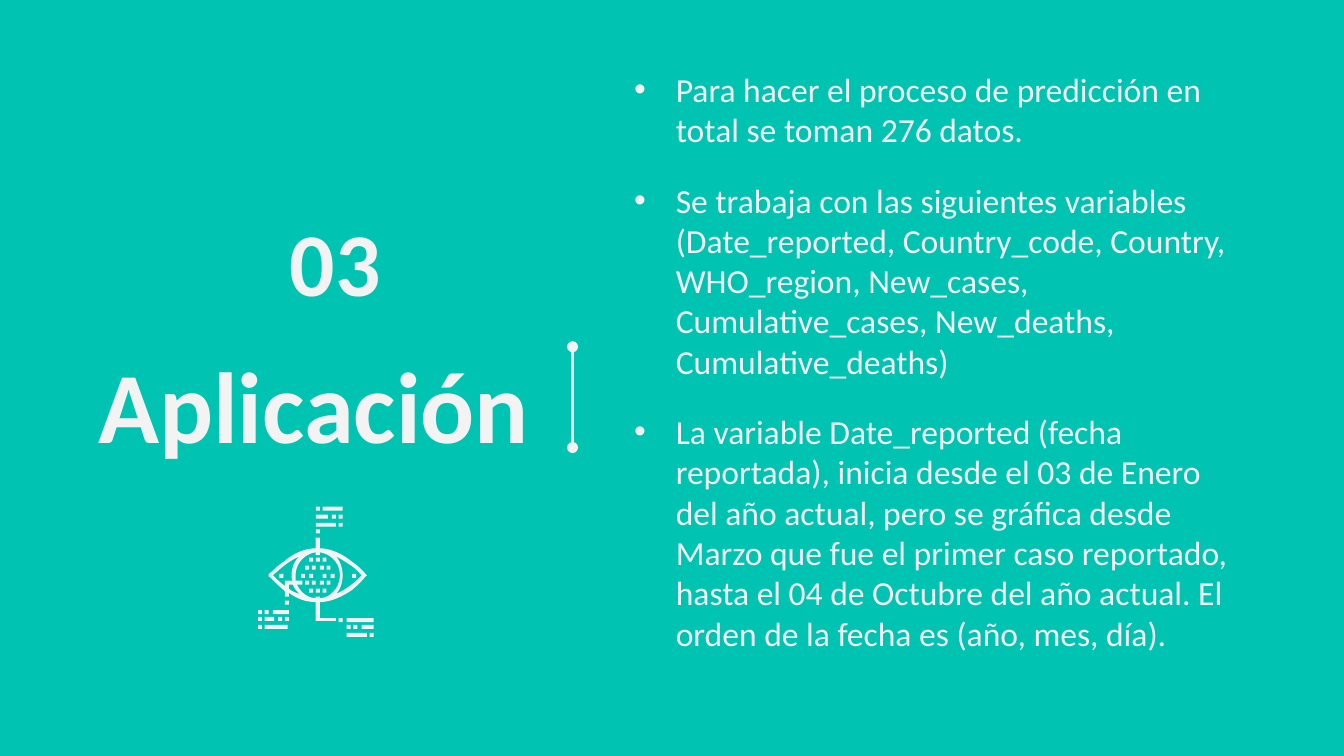
from lxml import etree
from pptx import Presentation
from pptx.dml.color import RGBColor
from pptx.enum.shapes import MSO_CONNECTOR, MSO_SHAPE
from pptx.enum.text import MSO_ANCHOR, PP_ALIGN
from pptx.oxml.ns import qn
from pptx.util import Inches, Pt

TOP, MIDDLE = MSO_ANCHOR.TOP, MSO_ANCHOR.MIDDLE
LEFT, CENTER, RIGHT = PP_ALIGN.LEFT, PP_ALIGN.CENTER, PP_ALIGN.RIGHT
RECTANGLE, STRAIGHT = MSO_SHAPE.RECTANGLE, MSO_CONNECTOR.STRAIGHT
COLORS = {"background": "00C3B1", "light": "F3F3F3"}
LIGHT = RGBColor.from_string(COLORS["light"])
FONT = "Calibri"

deck = Presentation()
deck.slide_width, deck.slide_height = Inches(10), Inches(10 * 9 / 16)
page = deck.slides.add_slide(deck.slide_layouts[6])
page.background.fill.solid()
page.background.fill.fore_color.rgb = RGBColor.from_string(COLORS["background"])

# Text: place, anchor, alignment, size, bold, bulleted, bottom inset, paragraphs
variables = (
    "Se trabaja con las siguientes variables (Date_reported, Country_code, "
    "Country, WHO_region, New_cases, Cumulative_cases, New_deaths, "
    "Cumulative_deaths)"
)
dates = (
    "La variable Date_reported (fecha reportada), inicia desde el 03 de Enero "
    "del año actual, pero se gráfica desde Marzo que fue el primer caso "
    "reportado, hasta el 04 de Octubre del año actual. El orden de la fecha "
    "es (año, mes, día)."
)
points = [
    "Para hacer el proceso de predicción en total se toman 276 datos.",
    variables,
    dates,
]
texts = [
    ((-0.08, 2.45, 4.83, 0.96), TOP, CENTER, 54, True, False, 0.1, ["Aplicación"]),
    ((4.62, 0.37, 4.65, 5.08), MIDDLE, LEFT, 18, False, True, 0.55, points),
    ((1.77, 1.57, 1.16, 0.74), MIDDLE, RIGHT, 48, True, False, 0.1, ["03"]),
]
for place, anchor, alignment, size, bold, bulleted, bottom, lines in texts:
    box = page.shapes.add_textbox(*map(Inches, place))
    frame = box.text_frame
    frame.word_wrap = True
    frame.vertical_anchor = anchor
    frame.margin_left = frame.margin_right = frame.margin_top = Inches(0.1)
    frame.margin_bottom = Inches(bottom)
    for index, line in enumerate(lines):
        para = frame.paragraphs[0] if index == 0 else frame.add_paragraph()
        para.alignment = alignment
        if bulleted:
            para.space_after = Pt(16)
            properties = para._p.get_or_add_pPr()
            properties.set("marL", str(Inches(0.31)))
            properties.set("indent", str(-Inches(0.31)))
            bullet_color = etree.SubElement(properties, qn("a:buClr"))
            etree.SubElement(bullet_color, qn("a:srgbClr"), val=COLORS["light"])
            etree.SubElement(properties, qn("a:buFont"), typeface="Arial")
            etree.SubElement(properties, qn("a:buChar"), char="•")
        span = para.add_run()
        span.text = line
        span.font.name, span.font.size, span.font.bold = FONT, Pt(size), bold
        span.font.color.rgb = LIGHT

# Eye icon: bars and dots by row, each row a top and its (left, width) pairs
icon = page.shapes.add_group_shape()
DOT = 0.03
dot_rows = [
    (4.15, [2.3, 2.35, 2.4]),
    (4.21, [2.27, 2.32, 2.38, 2.43]),
    (4.27, [2.08, 2.24, 2.3, 2.4, 2.46, 2.62]),
    (4.32, [2.27, 2.32, 2.38, 2.43]),
    (4.38, [2.3, 2.35, 2.4]),
    (4.47, [2.12]),
    (3.94, [2.35]),
]
bar_rows = [
    (3.77, [(2.35, DOT), (2.4, 0.15)]),
    (3.83, [(2.35, 0.09), (2.47, DOT), (2.52, DOT)]),
    (3.89, [(2.35, 0.15), (2.52, DOT)]),
    (4.54, [(1.92, DOT), (1.97, DOT), (2.03, 0.12)]),
    (4.59, [(1.92, DOT), (1.97, 0.07), (2.07, DOT), (2.12, DOT)]),
    (4.65, [(1.92, DOT), (1.97, 0.17)]),
    (4.6, [(2.52, DOT), (2.58, 0.2)]),
    (4.65, [(2.58, DOT), (2.63, DOT), (2.69, 0.09)]),
    (4.71, [(2.58, 0.15), (2.75, DOT)]),
]
bar_rows += [(top, [(left, DOT) for left in lefts]) for top, lefts in dot_rows]
for top, bars in bar_rows:
    for left, width in bars:
        bar = icon.shapes.add_shape(RECTANGLE, *map(Inches, (left, top, width, DOT)))
        bar.shadow.inherit = False
        bar.fill.solid()
        bar.fill.fore_color.rgb = LIGHT
        bar.line.fill.background()


def flatten(contour, steps=10):
    """Turn line ends (x, y) and cubic curves (three x, y pairs) into points."""
    points = [contour[0]]
    for part in contour[1:]:
        if len(part) == 2:
            points.append(part)
            continue
        x0, y0 = points[-1]
        x1, y1, x2, y2, x3, y3 = part
        for step in range(1, steps + 1):
            t = step / steps
            a, b, c, d = (1 - t) ** 3, 3 * t * (1 - t) ** 2, 3 * t * t * (1 - t), t ** 3
            points.append((a * x0 + b * x1 + c * x2 + d * x3,
                           a * y0 + b * y1 + c * y2 + d * y3))
    return [(Inches(x), Inches(y)) for x, y in points]


left_white = [
    (2.23, 4.14), (2.19, 4.17, 2.17, 4.23, 2.17, 4.28),
    (2.17, 4.3, 2.17, 4.31, 2.18, 4.32), (2.12, 4.32), (2.12, 4.36),
    (2.08, 4.33, 2.05, 4.3, 2.03, 4.28), (2.06, 4.26, 2.13, 4.18, 2.23, 4.14),
]
lower_white = [
    (2.18, 4.35), (2.19, 4.38, 2.21, 4.4, 2.23, 4.42),
    (2.2, 4.41, 2.17, 4.4, 2.15, 4.38), (2.15, 4.35),
]
right_white = [
    (2.5, 4.14), (2.54, 4.16, 2.57, 4.18, 2.6, 4.2),
    (2.65, 4.23, 2.68, 4.27, 2.69, 4.28), (2.67, 4.31, 2.59, 4.38, 2.5, 4.42),
    (2.53, 4.39, 2.55, 4.34, 2.55, 4.28), (2.55, 4.23, 2.53, 4.17, 2.5, 4.14),
]
iris = [
    (2.38, 4.11), (2.46, 4.12, 2.53, 4.19, 2.53, 4.28),
    (2.53, 4.37, 2.46, 4.45, 2.38, 4.45), (2.38, 4.44), (2.35, 4.44), (2.35, 4.45),
    (2.29, 4.45, 2.24, 4.41, 2.21, 4.35), (2.25, 4.35), (2.25, 4.32), (2.2, 4.32),
    (2.2, 4.31, 2.2, 4.3, 2.2, 4.28), (2.2, 4.19, 2.27, 4.12, 2.35, 4.11),
    (2.35, 4.13), (2.38, 4.13),
]
outline = [
    (2.35, 4), (2.35, 4.08), (2.25, 4.08, 2.17, 4.13, 2.11, 4.18),
    (2.05, 4.22, 2.01, 4.27, 2, 4.27), (2, 4.29),
    (2.01, 4.29, 2.05, 4.34, 2.11, 4.39), (2.12, 4.4), (2.12, 4.44),
    (2.15, 4.44), (2.15, 4.41), (2.2, 4.45, 2.27, 4.48, 2.35, 4.48),
    (2.35, 4.62), (2.5, 4.62), (2.5, 4.6), (2.38, 4.6), (2.38, 4.48),
    (2.47, 4.48, 2.56, 4.43, 2.62, 4.39), (2.68, 4.34, 2.72, 4.29, 2.72, 4.29),
    (2.73, 4.28), (2.72, 4.27), (2.72, 4.27, 2.68, 4.22, 2.62, 4.18),
    (2.56, 4.13, 2.47, 4.08, 2.38, 4.08), (2.38, 4),
]
start, *rest = flatten(outline)
builder = icon.shapes.build_freeform(*start)
builder.add_line_segments(rest, close=True)
for hole in (left_white, lower_white, right_white, iris):
    start, *rest = flatten(hole)
    builder.move_to(*start)
    builder.add_line_segments(rest, close=True)
eye = builder.convert_to_shape()
eye.shadow.inherit = False
eye.fill.solid()
eye.fill.fore_color.rgb = LIGHT
eye.line.fill.background()

# Divider with round ends
divider = page.shapes.add_connector(STRAIGHT, *map(Inches, (4.26, 2.58, 4.26, 3.33)))
divider.line.color.rgb = LIGHT
divider.line.width = Pt(1.5)
stroke = divider.line._get_or_add_ln()
for end in ("a:headEnd", "a:tailEnd"):
    etree.SubElement(stroke, qn(end), type="oval")
etree.SubElement(divider._element.spPr, qn("a:effectLst"))

deck.save("out.pptx")
